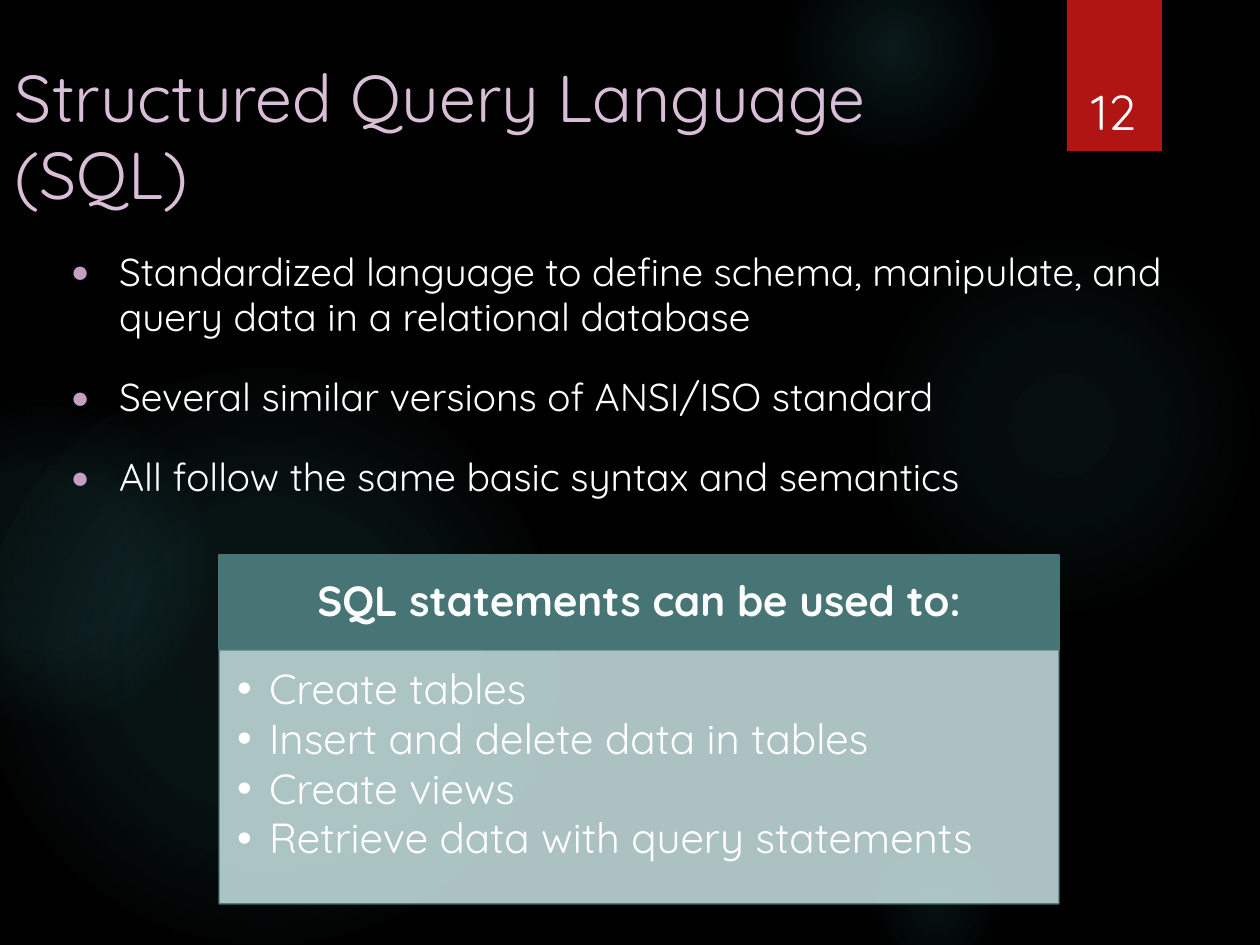
from pptx import Presentation
from pptx import util as u
from pptx.dml.color import RGBColor
from pptx.enum import shapes, text
from pptx.oxml import parse_xml
from pptx.oxml.ns import nsdecls, qn

FONT = "Quicksand"
BLACK = RGBColor(0x00, 0x00, 0x00)
WHITE = RGBColor(0xFF, 0xFF, 0xFF)
GLOW = RGBColor(0x50, 0xB9, 0xC1)
RED = RGBColor(0xB0, 0x15, 0x13)
PINK = RGBColor(0xD9, 0xBE, 0xD7)
MAUVE = RGBColor(0xC5, 0x9E, 0xC3)
TEAL = RGBColor(0x47, 0x75, 0x76)
PALE = RGBColor(0xBF, 0xD8, 0xD8)

GLOWS = [
    (868, 231, 388, (7, 6), 69),
    (784, -63, 220, (14, 7), 73),
    (868, 840, 136, (9, 5), 66),
    (-21, 368, 577, (11, 10), 75),
    (-116, 399, 325, (8, 8), 72),
]
POINTS = [
    "Standardized language to define schema, manipulate, and query data in a relational database",
    "Several similar versions of ANSI/ISO standard",
    "All follow the same basic syntax and semantics",
]
USES = [
    "Create tables",
    "Insert and delete data in tables",
    "Create views",
    "Retrieve data with query statements",
]


def px(n):
    """Turn pixels into EMU."""
    return u.Emu(round(n * u.Inches(1) / 126))


def place(item, box):
    """Move an item to a box."""
    item.left, item.top, item.width, item.height = map(px, box)


def shape(host, kind, box, fill=None, line=None):
    """Add a flat preset shape."""
    item = host.add_shape(kind, *map(px, box))
    item.shadow.inherit = False
    if fill is not None:
        item.fill.solid()
        item.fill.fore_color.rgb = fill
    if line is None:
        item.line.fill.background()
    else:
        item.line.color.rgb = line
        item.line.width = u.Pt(0.75)
    return item


def fade(fill, part):
    """Make a solid fill partly clear."""
    tone = fill.find(qn("a:solidFill"))[0]
    tone.append(parse_xml(f'<a:alpha {nsdecls("a")} val="{part * 1000}"/>'))


def setup(item, anchor, pads=(13, 6, 13, 6)):
    """Set the text frame and return it."""
    frame = item.text_frame
    frame.word_wrap = True
    frame.auto_size = text.MSO_AUTO_SIZE.NONE
    frame.vertical_anchor = anchor
    frame.margin_left, frame.margin_top, frame.margin_right, frame.margin_bottom = map(px, pads)
    return frame


def write(para, words, size, color=WHITE, bold=False):
    """Add one run to a paragraph."""
    run = para.add_run()
    run.text = words
    run.font.name = FONT
    run.font.size = u.Pt(size)
    run.font.bold = bold
    run.font.color.rgb = color


def bullets(frame, items, size, mark, tint, scale, dent, lead, before, after):
    """Fill a frame with a bulleted list."""
    for i, words in enumerate(items):
        para = frame.add_paragraph() if i else frame.paragraphs[0]
        props = para._p.get_or_add_pPr()
        props.set("marL", str(px(dent)))
        props.set("indent", str(-px(dent)))
        for bit in (
            f'<a:buClr {nsdecls("a")}><a:srgbClr val="{tint}"/></a:buClr>',
            f'<a:buSzPct {nsdecls("a")} val="{scale * 1000}"/>',
            f'<a:buFont {nsdecls("a")} typeface="Arial"/>',
            f'<a:buChar {nsdecls("a")} char="{mark}"/>',
        ):
            props.append(parse_xml(bit))
        para.alignment = text.PP_ALIGN.LEFT
        para.line_spacing = lead
        para.space_before = u.Pt(before if i else 0)
        para.space_after = u.Pt(after)
        write(para, words, size)


def glow(host, left, top, size, alphas, edge):
    """Add a round glow that fades outward."""
    disc = shape(host, shapes.MSO_SHAPE.OVAL, (left, top, size, size))
    stops = "".join(
        f'<a:gs pos="{pos * 1000}"><a:srgbClr val="{GLOW}"><a:alpha val="{part * 1000}"/></a:srgbClr></a:gs>'
        for pos, part in zip((0, 36, edge), (*alphas, 0))
    )
    disc._element.spPr.find(qn("a:prstGeom")).addnext(parse_xml(
        f'<a:gradFill {nsdecls("a")}><a:gsLst>{stops}</a:gsLst><a:path path="circle">'
        '<a:fillToRect l="50000" t="50000" r="50000" b="50000"/></a:path></a:gradFill>'
    ))


def heading(item, box):
    """Fill the title placeholder."""
    place(item, box)
    para = setup(item, text.MSO_ANCHOR.TOP).paragraphs[0]
    para.alignment = text.PP_ALIGN.LEFT
    para.line_spacing = 0.97
    write(para, "Structured Query Language", 37.8, PINK)
    para.add_line_break()
    write(para, "(SQL)", 37.8, PINK)


def summary(item, box):
    """Fill the body placeholder."""
    place(item, box)
    frame = setup(item, text.MSO_ANCHOR.TOP)
    bullets(frame, POINTS, 22.2, "●", MAUVE, 80, 48, 0.97, 20, 0)


def badge(host, box):
    """Add the red tab with the page number."""
    left, top, wide, high = box
    shape(host, shapes.MSO_SHAPE.RECTANGLE, box, RED)
    label = host.add_textbox(*map(px, (left + 3, top + 40, wide - 7, high - 45)))
    para = setup(label, text.MSO_ANCHOR.BOTTOM).paragraphs[0]
    para.alignment = text.PP_ALIGN.CENTER
    write(para, "12", 28)


def panel(host, box, head):
    """Add the list of uses under a header bar."""
    left, top, wide, high = box
    group = host.add_group_shape().shapes
    rect = shapes.MSO_SHAPE.RECTANGLE
    bar = shape(group, rect, (left, top, wide, head), TEAL, TEAL)
    para = setup(bar, text.MSO_ANCHOR.MIDDLE, (24, 14, 24, 14)).paragraphs[0]
    para.alignment = text.PP_ALIGN.CENTER
    para.line_spacing = 0.9
    write(para, "SQL statements can be used to:", 24, bold=True)
    card = shape(group, rect, (left, top + head, wide, high - head), PALE, TEAL)
    props = card._element.spPr
    fade(props, 90)
    fade(props.find(qn("a:ln")), 90)
    frame = setup(card, text.MSO_ANCHOR.TOP, (18, 18, 24, 26))
    bullets(frame, USES, 24, "•", WHITE, 100, 32, 0.9, 0, 2.6)


def main():
    """Build and save the slide."""
    deck = Presentation()
    deck.slide_width, deck.slide_height = px(1260), px(945)
    slide = deck.slides.add_slide(deck.slide_layouts[1])
    slide.background.fill.solid()
    slide.background.fill.fore_color.rgb = BLACK
    host = slide.shapes
    title, body = slide.placeholders
    for spot in GLOWS:
        glow(host, *spot)
    heading(title, (2, 55, 1260, 159))
    summary(body, (58, 244, 1144, 305))
    for item in (title, body):
        host._spTree.append(item._element)
    badge(host, (1067, 0, 95, 151))
    panel(host, (219, 555, 840, 349), 95)
    deck.save("out.pptx")


if __name__ == "__main__":
    main()
